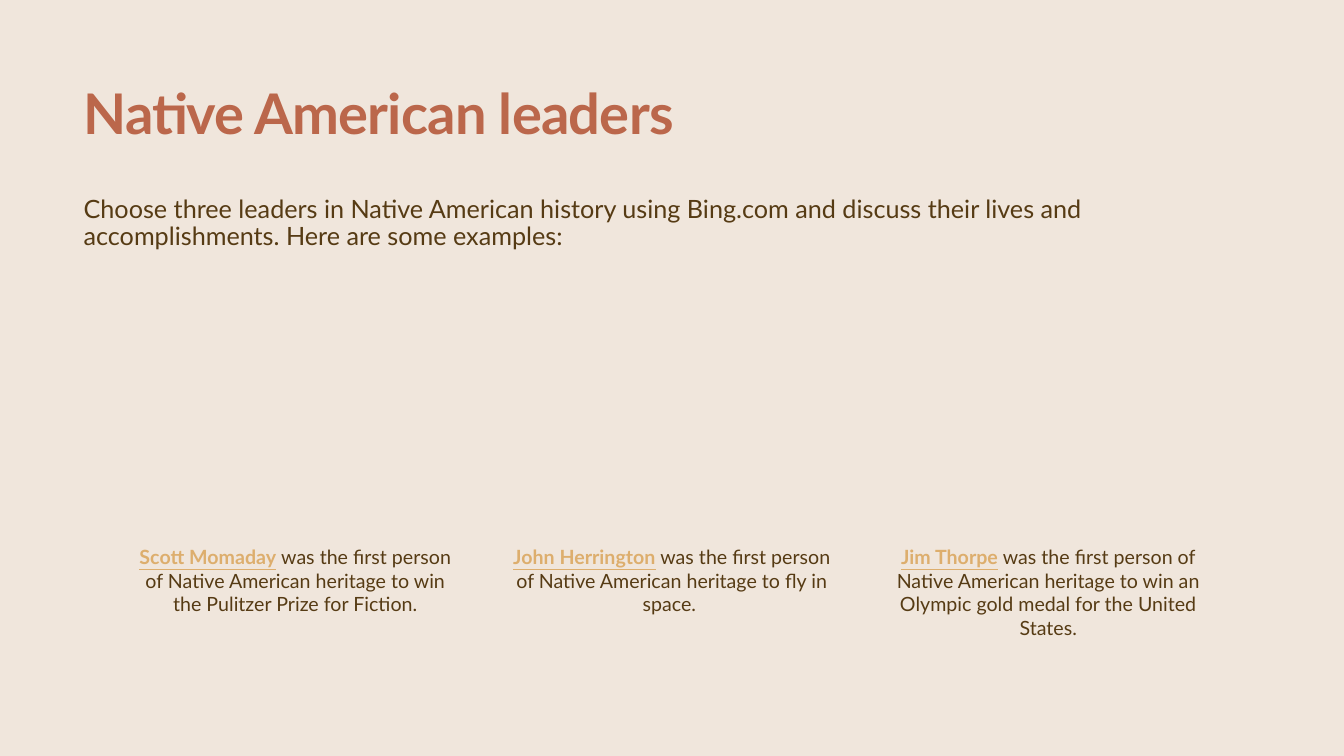
from pptx import Presentation
from pptx.dml.color import RGBColor
from pptx.enum.text import MSO_ANCHOR, PP_ALIGN
from pptx.util import Inches, Pt

FONT = "Lato"
BACKGROUND = "F0E6DC"
RUST = "BB674B"
BROWN = "563B14"
GOLD = "DDAE6D"

LEADERS = [
    ("Scott Momaday", "was the first person of Native American heritage "
     "to win the Pulitzer Prize for Fiction."),
    ("John Herrington", "was the first person of Native American heritage "
     "to fly in space. "),
    ("Jim Thorpe", "was the first person of Native American heritage "
     "to win an Olympic gold medal for the United States."),
]


def rgb(value):
    return RGBColor.from_string(value)


def first_paragraph(sp, anchor=MSO_ANCHOR.TOP):
    tf = sp.text_frame
    tf.word_wrap = True
    tf.vertical_anchor = anchor
    tf.margin_left = tf.margin_top = tf.margin_right = tf.margin_bottom = 0
    return tf.paragraphs[0]


def add_run(p, text, size, color, bold=False, underline=False):
    r = p.add_run()
    r.text = text
    r.font.name = FONT
    r.font.size = Pt(size)
    r.font.color.rgb = rgb(color)
    r.font.bold = bold
    r.font.underline = underline
    return r


def add_title(slide, left, top, width, height):
    sp = slide.shapes.add_textbox(Inches(left), Inches(top), Inches(width), Inches(height))
    p = first_paragraph(sp, MSO_ANCHOR.BOTTOM)
    r = add_run(p, "Native American leaders", 40, RUST, bold=True)
    r.font._element.set("spc", "-50")


def add_intro(slide, left, top, width, height):
    sp = slide.shapes.add_textbox(Inches(left), Inches(top), Inches(width), Inches(height))
    p = first_paragraph(sp)
    p.line_spacing = 0.9
    add_run(p, "Choose three leaders in Native American history using Bing.com and "
            "discuss their lives and accomplishments. Here are some examples:", 18, BROWN)


def add_panel(slide, left, top, width, height):
    x, y = Inches(left), Inches(top)
    right, bottom = Inches(left + width), Inches(top + height)
    outline = slide.shapes.build_freeform(x, y)
    outline.add_line_segments([(right, y), (right, bottom), (x, bottom)], close=True)
    sp = outline.convert_to_shape()
    sp.shadow.inherit = False
    sp.fill.background()
    sp.line.fill.background()
    return sp


def add_leaders(slide, left, top, width, height, column_width):
    pitch = (width - column_width) / (len(LEADERS) - 1)
    for i, (name, achievement) in enumerate(LEADERS):
        sp = add_panel(slide, left + i * pitch, top, column_width, height)
        p = first_paragraph(sp)
        p.alignment = PP_ALIGN.CENTER
        p.space_after = Pt(5)
        add_run(p, name, 14, GOLD, bold=True, underline=True)
        add_run(p, " ", 14, BROWN, bold=True)
        add_run(p, achievement, 14, BROWN)


def main():
    prs = Presentation()
    prs.slide_width = Inches(13.333)
    prs.slide_height = Inches(7.5)
    s = prs.slides.add_slide(prs.slide_layouts[6])
    s.background.fill.solid()
    s.background.fill.fore_color.rgb = rgb(BACKGROUND)
    add_title(s, 0.83, 0.78, 11.67, 0.67)
    add_intro(s, 0.83, 1.95, 11.67, 1.22)
    add_leaders(s, 1.34, 5.41, 10.65, 1.06, column_width=3.18)
    prs.save("out.pptx")


if __name__ == "__main__":
    main()
